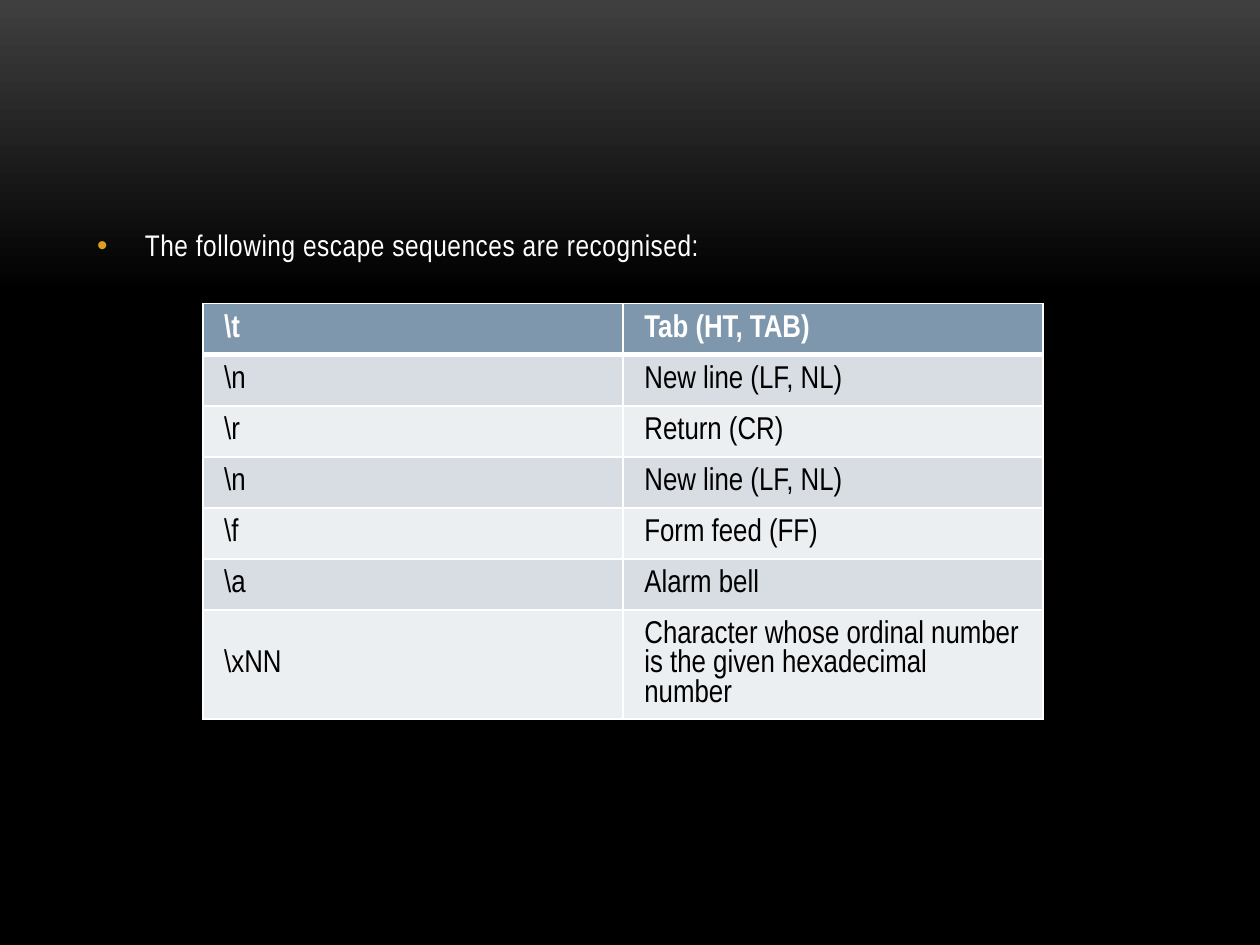
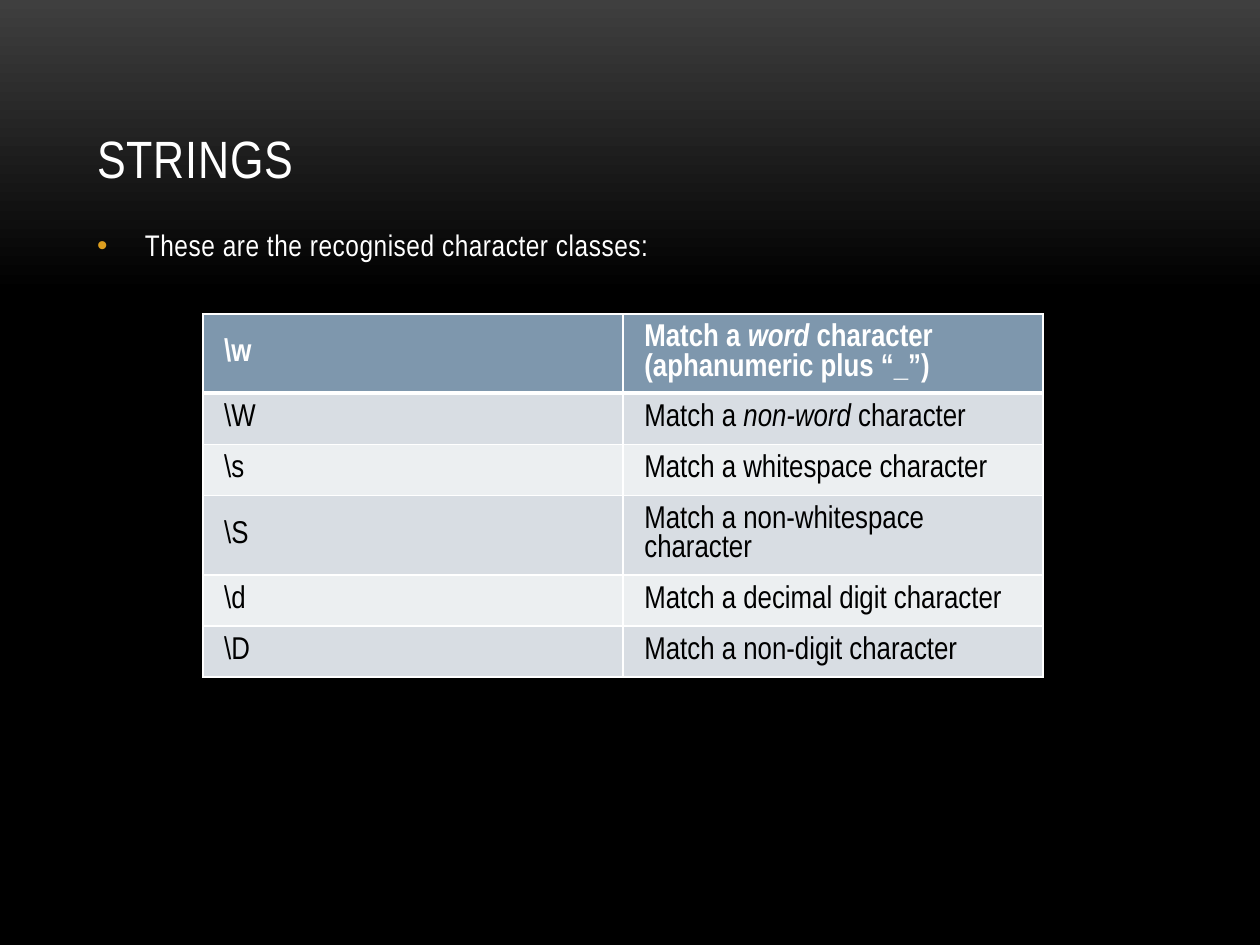
from copy import deepcopy

from lxml import etree
from pptx import Presentation
from pptx import util as u
from pptx.dml.color import RGBColor
from pptx.enum import text
from pptx.oxml.ns import qn

FONT = "Arial Narrow"
WHITE, BLACK = "FFFFFF", "000000"
GLOW, BULLET = "3F3F3F", "DC9E1F"
HEADER, BANDS = "7E97AD", ("D8DDE3", "ECEFF1")

ESCAPES = [
    (r"\t", "Tab (HT, TAB)"),
    (r"\n", "New line (LF, NL)"),
    (r"\r", "Return (CR)"),
    (r"\n", "New line (LF, NL)"),
    (r"\f", "Form feed (FF)"),
    (r"\a", "Alarm bell"),
    (r"\xNN", "Character whose ordinal number is the given hexadecimal number"),
]
# Asterisks enclose italic words.
CLASSES = [
    (r"\w", "Match a *word* character (aphanumeric plus “_”)"),
    (r"\W", "Match a *non-word* character"),
    (r"\s", "Match a whitespace character"),
    (r"\S", "Match a non-whitespace character"),
    (r"\d", "Match a decimal digit character"),
    (r"\D", "Match a non-digit character"),
]


def rgb(value):
    return RGBColor.from_string(value)


def sub(parent, tag, **attributes):
    return etree.SubElement(parent, qn(tag), attributes)


class Deck:
    def __init__(self):
        self.prs = Presentation()
        self.prs.slide_width, self.prs.slide_height = u.Inches(10), u.Inches(7.5)
        self.slide = None
        self.paint_background()

    def paint_background(self):
        master = self.prs.slide_master
        fill = master.background.fill
        fill.gradient()
        fill.gradient_angle = 270
        for stop, color, position in zip(fill.gradient_stops, (GLOW, BLACK), (0, 0.31)):
            stop.color.rgb = rgb(color)
            stop.position = position
        stops = next(master.element.iter(qn("a:gsLst")))
        last = deepcopy(stops[-1])
        last.set("pos", "100000")
        stops.append(last)

    def new_slide(self):
        self.slide = self.prs.slides.add_slide(self.prs.slide_layouts[1])

    def run(self, paragraph, words, size, color=WHITE, bold=False, italic=False, spacing=0):
        """Add one run; spacing is in hundredths of a point."""
        run = paragraph.add_run()
        run.text = words
        font = run.font
        font.name, font.size = FONT, u.Pt(size)
        font.bold, font.italic = bold, italic
        font.color.rgb = rgb(color)
        if spacing:
            run._r.get_or_add_rPr().set("spc", str(spacing))

    def place(self, holder, top, height, anchor):
        """Move a placeholder and return its first paragraph."""
        holder.left, holder.top = u.Inches(0.67), u.Inches(top)
        holder.width, holder.height = u.Inches(8.67), u.Inches(height)
        frame = holder.text_frame
        frame.auto_size = text.MSO_AUTO_SIZE.NONE
        frame.vertical_anchor = anchor
        paragraph = frame.paragraphs[0]
        paragraph.alignment = text.PP_ALIGN.LEFT
        return paragraph

    def title(self, words=None):
        holder = self.slide.shapes.title
        if words is None:
            holder.element.getparent().remove(holder.element)
            return
        paragraph = self.place(holder, 0.3, 1.25, text.MSO_ANCHOR.BOTTOM)
        self.run(paragraph, words, 30, spacing=50)

    def bullet(self, words):
        paragraph = self.place(self.slide.placeholders[1], 1.75, 4.5, text.MSO_ANCHOR.TOP)
        paragraph.space_before, paragraph.space_after = u.Pt(0), u.Pt(6)
        properties = paragraph._p.get_or_add_pPr()
        indent = u.Inches(0.38)
        properties.set("marL", str(indent))
        properties.set("indent", str(-indent))
        sub(sub(properties, "a:buClr"), "a:srgbClr", val=BULLET)
        sub(properties, "a:buFont", typeface="Arial")
        sub(properties, "a:buChar", char="•")
        self.run(paragraph, words, 17, spacing=30)

    def borders(self, cell, top, bottom):
        properties = cell._tc.get_or_add_tcPr()
        for side, points in (("L", 1), ("R", 1), ("T", top), ("B", bottom)):
            line = sub(properties, f"a:ln{side}", w=str(u.Pt(points)))
            sub(sub(line, "a:solidFill"), "a:srgbClr", val=WHITE)

    def cell(self, cell, words, row):
        is_header = row == 0
        self.borders(cell, 3 if row == 1 else 1, 3 if is_header else 1)
        cell.fill.solid()
        cell.fill.fore_color.rgb = rgb(HEADER if is_header else BANDS[(row - 1) % 2])
        cell.vertical_anchor = text.MSO_ANCHOR.MIDDLE
        cell.margin_left = cell.margin_right = u.Inches(0.17)
        cell.margin_top = cell.margin_bottom = u.Inches(0.08)
        paragraph = cell.text_frame.paragraphs[0]
        for index, part in enumerate(words.split("*")):
            self.run(paragraph, part, 18, WHITE if is_header else BLACK,
                     bold=is_header, italic=index % 2 == 1)

    def table(self, entries, top, height):
        frame = self.slide.shapes.add_table(
            len(entries), 2, u.Inches(1.61), u.Inches(top), u.Inches(6.67), u.Inches(height))
        for row, entry in enumerate(entries):
            frame.table.rows[row].height = u.Pt(29.2)
            for column, words in enumerate(entry):
                self.cell(frame.table.cell(row, column), words, row)
        frame.height = u.Inches(height)


def main():
    deck = Deck()

    deck.new_slide()
    deck.title()
    deck.bullet("The following escape sequences are recognised:")
    deck.table(ESCAPES, 2.41, 3.87)

    deck.new_slide()
    deck.title("STRINGS")
    deck.bullet("These are the recognised character classes:")
    deck.table(CLASSES, 2.49, 3.4)

    deck.prs.save("out.pptx")


if __name__ == "__main__":
    main()
